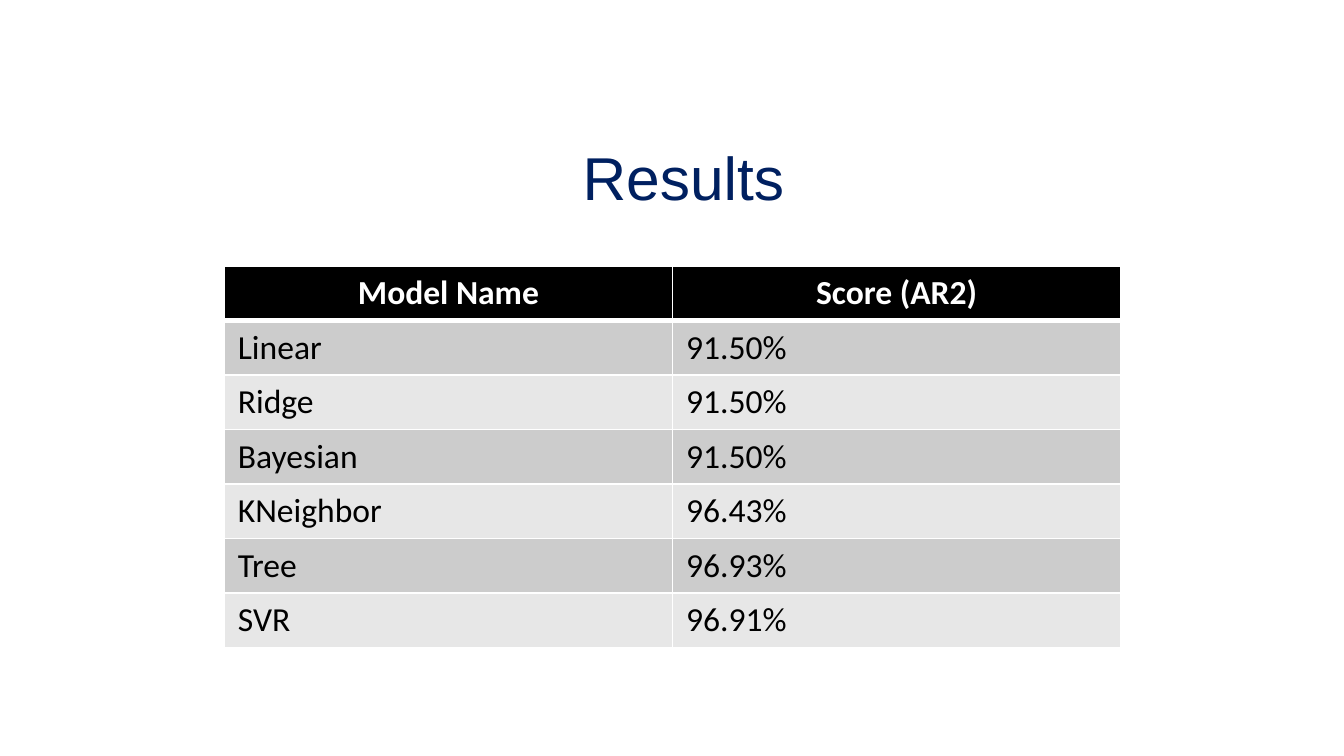
from lxml.etree import SubElement
from pptx import Presentation
from pptx.dml.color import RGBColor
from pptx.enum.text import MSO_ANCHOR, PP_ALIGN
from pptx.oxml.ns import qn
from pptx.util import Inches, Pt

SLIDE_WIDTH = 10
SLIDE_HEIGHT = SLIDE_WIDTH * 9 / 16
COLORS = {
    "title": "002060",
    "header": "000000",
    "text": "000000",
    "white": "FFFFFF",
    "odd_row": "CCCCCC",
    "even_row": "E7E7E7",
}
SCORES = [
    ("Model Name", "Score (AR2)"),
    ("Linear", "91.50%"),
    ("Ridge", "91.50%"),
    ("Bayesian", "91.50%"),
    ("KNeighbor", "96.43%"),
    ("Tree", "96.93%"),
    ("SVR", "96.91%"),
]


def color(name):
    return RGBColor.from_string(COLORS[name])


def write_text(frame, text, *, font, size, ink, bold=False, align=PP_ALIGN.LEFT):
    para = frame.paragraphs[0]
    para.alignment = align
    span = para.add_run()
    span.text = text
    span.font.name = font
    span.font.size = Pt(size)
    span.font.bold = bold
    span.font.color.rgb = color(ink)


def add_borders(cell, top=1, bottom=1):
    """Draw white cell edges; widths are in points."""
    properties = cell._tc.get_or_add_tcPr()
    for side, width in (("L", 1), ("R", 1), ("T", top), ("B", bottom)):
        line = SubElement(properties, qn(f"a:ln{side}"), w=str(Pt(width)))
        fill = SubElement(line, qn("a:solidFill"))
        SubElement(fill, qn("a:srgbClr"), val=COLORS["white"])


class SlideBuilder:
    """Holds the fonts and the slide being filled."""

    title_font = "Arial"
    table_font = "Calibri"

    def __init__(self, slide):
        self.slide = slide

    def title(self, text, left, top, width, height):
        box = self.slide.shapes.title
        box.left, box.top = Inches(left), Inches(top)
        box.width, box.height = Inches(width), Inches(height)
        box.text_frame.vertical_anchor = MSO_ANCHOR.MIDDLE
        write_text(box.text_frame, text, font=self.title_font, size=32.4,
                   ink="title", align=PP_ALIGN.CENTER)

    def table(self, rows, left, top, width, height):
        table = self.slide.shapes.add_table(
            len(rows), len(rows[0]),
            Inches(left), Inches(top), Inches(width), Inches(height)).table
        for r, values in enumerate(rows):
            header = r == 0
            band = "header" if header else "odd_row" if r % 2 else "even_row"
            for c, value in enumerate(values):
                cell = table.cell(r, c)
                add_borders(cell, top=3 if r == 1 else 1, bottom=3 if header else 1)
                cell.fill.solid()
                cell.fill.fore_color.rgb = color(band)
                write_text(cell.text_frame, value, font=self.table_font, size=18,
                           ink="white" if header else "text", bold=header,
                           align=PP_ALIGN.CENTER if header else PP_ALIGN.LEFT)


def main():
    deck = Presentation()
    deck.slide_width, deck.slide_height = Inches(SLIDE_WIDTH), Inches(SLIDE_HEIGHT)
    page = SlideBuilder(deck.slides.add_slide(deck.slide_layouts[5]))
    page.title("Results", 0.66, 0.98, 8.85, 0.67)
    page.table(SCORES, 1.67, 1.98, 6.67, 2.84)
    deck.save("out.pptx")


if __name__ == "__main__":
    main()
